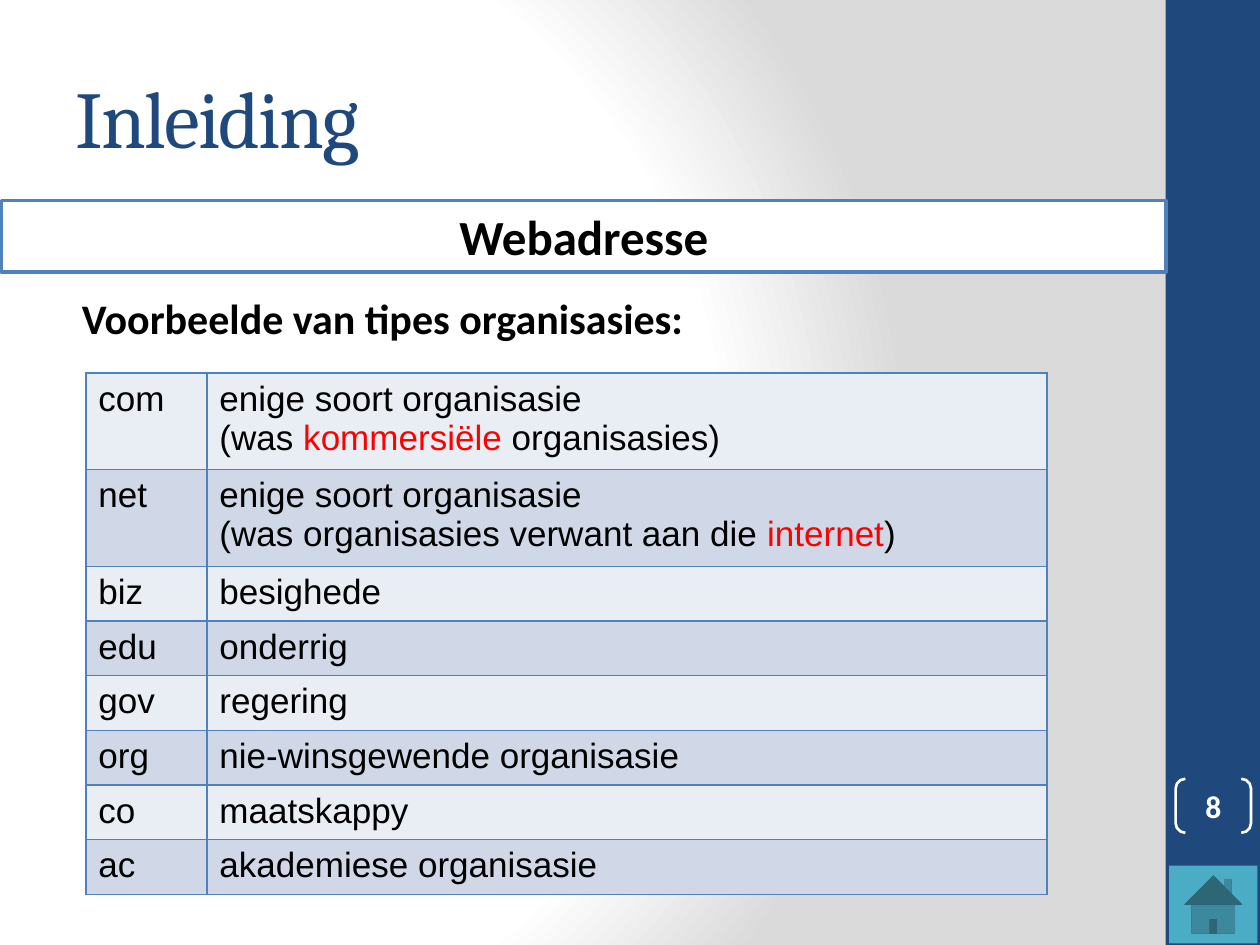
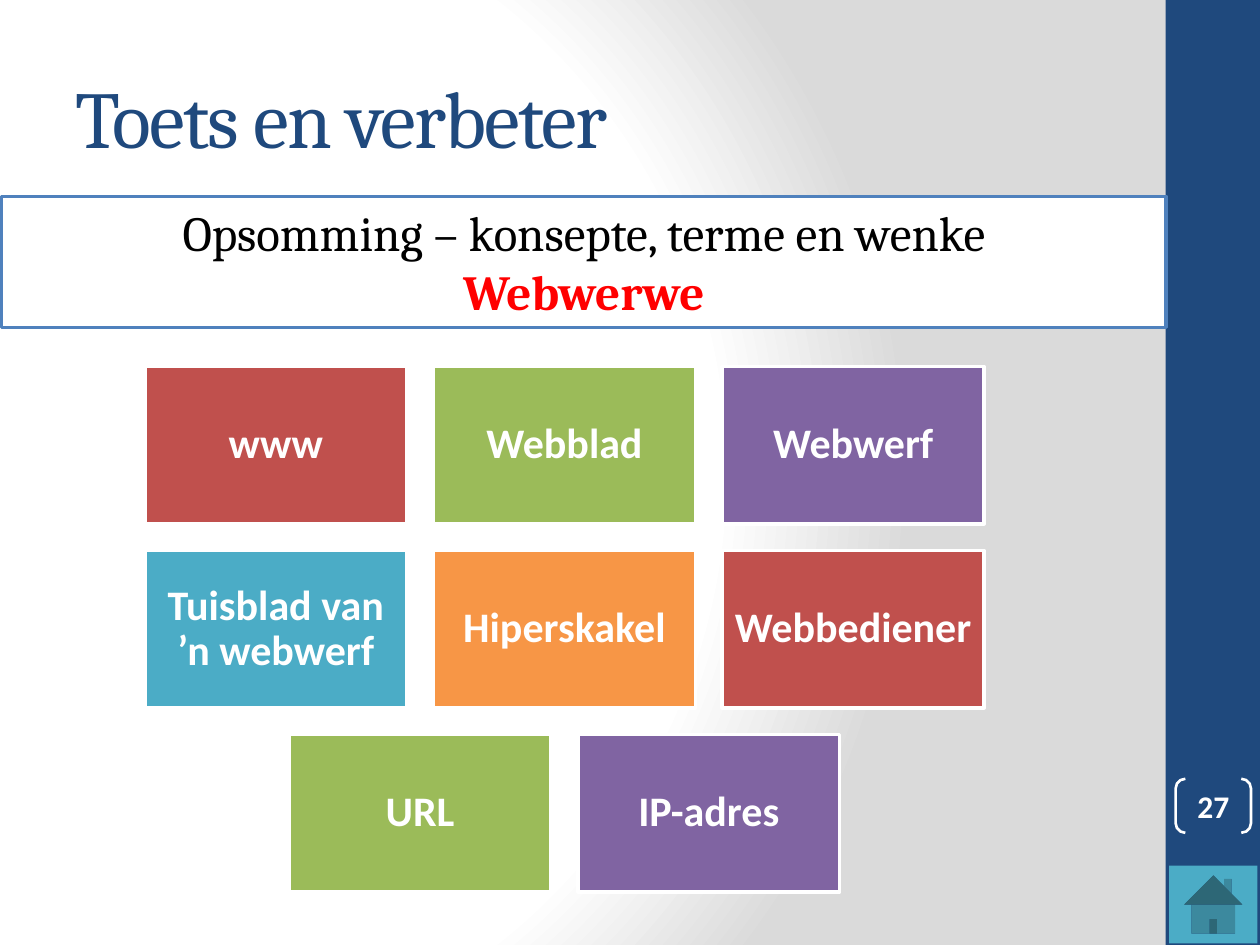
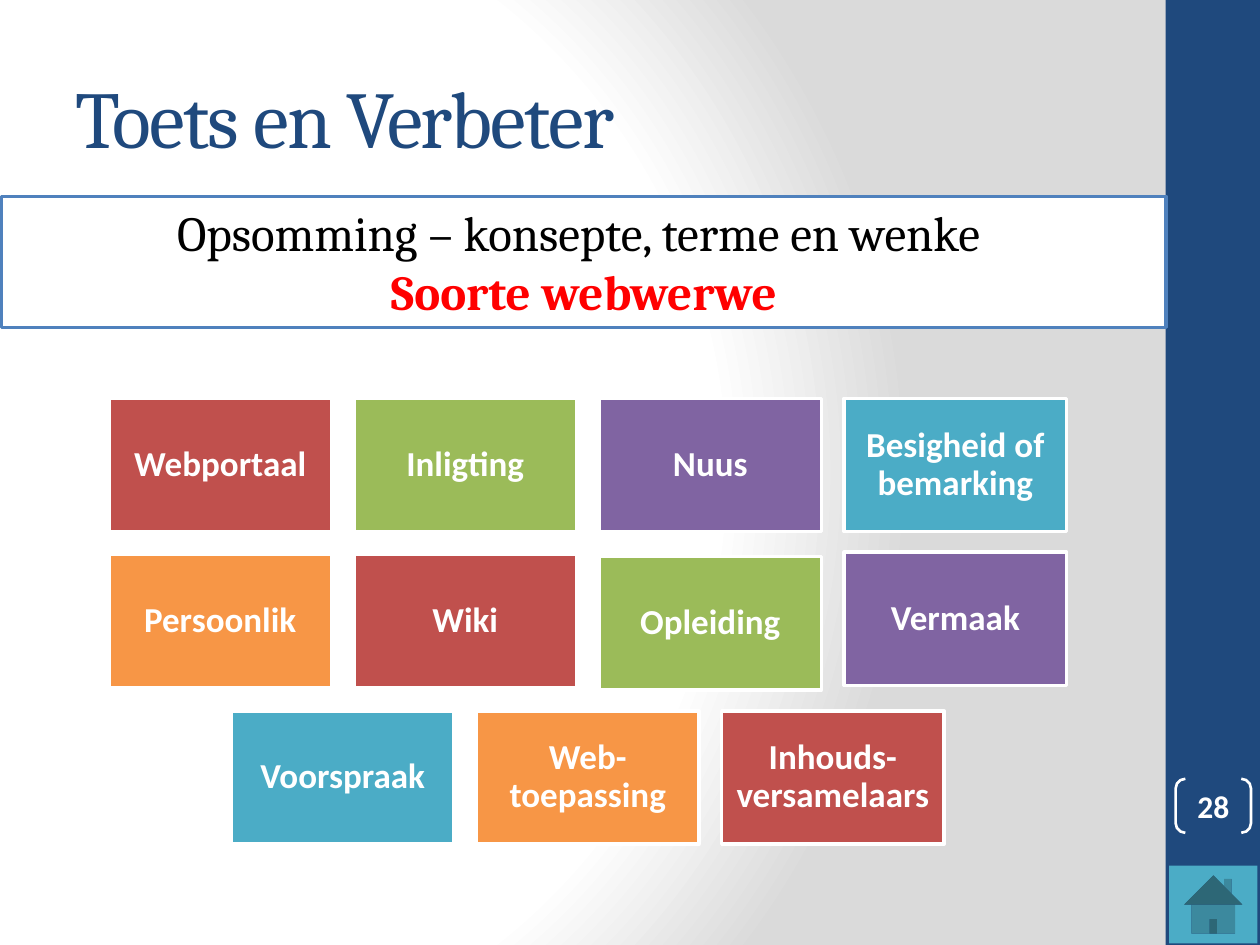
from dataclasses import dataclass
from itertools import count, cycle

from lxml.etree import SubElement
from pptx import Presentation
from pptx.dml.color import RGBColor
from pptx.enum.shapes import MSO_SHAPE as Preset
from pptx.enum.text import MSO_ANCHOR as Anchor, PP_ALIGN as Align
from pptx.oxml.ns import qn
from pptx.util import Cm, Pt


@dataclass(frozen=True)
class Theme:
    navy: str = "1F497D"
    blue: str = "4F81BD"
    teal: str = "4BACC6"
    white: str = "FFFFFF"
    black: str = "000000"
    red: str = "FF0000"
    grey: str = "DADADA"
    row_fills: tuple = ("E9EDF4", "D0D8E8")
    tile_fills: tuple = ("C0504D", "9BBB59", "8064A2", "4BACC6", "F79646")
    heading_font: str = "Cambria"
    body_font: str = "Calibri"
    table_font: str = "Arial"
    title_size: int = 46
    banner_size: int = 28
    lead_size: int = 24
    table_size: int = 20
    page_size: int = 18


theme = Theme()


def add_box(slide, preset, left, top, width, height, fill=None, line=None, line_width=2):
    """Add a flat preset shape, placed in centimetres."""
    shape = slide.shapes.add_shape(preset, Cm(left), Cm(top), Cm(width), Cm(height))
    shape.shadow.inherit = False
    if fill:
        shape.fill.solid()
        shape.fill.fore_color.rgb = RGBColor.from_string(fill)
    else:
        shape.fill.background()
    if line:
        shape.line.color.rgb = RGBColor.from_string(line)
        shape.line.width = Pt(line_width)
    else:
        shape.line.fill.background()
    return shape


def add_run(paragraph, text, font, size, colour, bold=False):
    run = paragraph.add_run()
    run.text = text
    run.font.name = font
    run.font.size = Pt(size)
    run.font.bold = bold
    run.font.color.rgb = RGBColor.from_string(colour)
    return run


presentation = Presentation()
presentation.slide_width = Cm(25.4)
presentation.slide_height = Cm(19.05)
blank_layout = presentation.slide_layouts[6]

# Shared background: a round gradient from white to grey
master = presentation.slide_master
master.background.fill.gradient()
gradient = master.element.find(".//" + qn("p:bgPr")).find(qn("a:gradFill"))
for child in list(gradient):
    gradient.remove(child)
stops = SubElement(gradient, qn("a:gsLst"))
for position, colour in ((0, theme.white), (75, theme.white), (100, theme.grey)):
    stop = SubElement(stops, qn("a:gs"), pos=str(position * 1000))
    SubElement(stop, qn("a:srgbClr"), val=colour)
gradient_path = SubElement(gradient, qn("a:path"), path="circle")
SubElement(gradient_path, qn("a:fillToRect"), l="20000", t="50000", r="100000", b="50000")

# Title, page number, banner top and height, banner lines
summary_style = (theme.heading_font, theme.banner_size, theme.black)
topic_style = (theme.heading_font, theme.banner_size, theme.red, True)
pages = [
    ("Inleiding", "8", 4.04, 1.45,
     [("Webadresse", theme.body_font, theme.banner_size, theme.black, True)]),
    ("Toets en verbeter", "27", 3.96, 2.64,
     [("Opsomming – konsepte, terme en wenke", *summary_style),
      ("Webwerwe", *topic_style)]),
    ("Toets en Verbeter", "28", 3.96, 2.64,
     [("Opsomming – konsepte, terme en wenke ", *summary_style),
      ("Soorte webwerwe", *topic_style)]),
]
slides = []
for title, page_number, banner_top, banner_height, banner_lines in pages:
    slide = presentation.slides.add_slide(blank_layout)
    slides.append(slide)
    add_box(slide, Preset.RECTANGLE, 23.5, 0, 1.9, 19.05, theme.navy)

    banner = add_box(slide, Preset.RECTANGLE, 0.03, banner_top, 23.48, banner_height,
                     theme.white, theme.blue)
    banner.text_frame.vertical_anchor = Anchor.TOP
    for index, banner_line in enumerate(banner_lines):
        frame = banner.text_frame
        paragraph = frame.add_paragraph() if index else frame.paragraphs[0]
        paragraph.alignment = Align.CENTER
        add_run(paragraph, *banner_line)

    title_box = slide.shapes.add_textbox(Cm(1.27), Cm(0.76), Cm(21.16), Cm(3.18))
    title_box.text_frame.word_wrap = True
    title_box.text_frame.vertical_anchor = Anchor.MIDDLE
    title_run = add_run(title_box.text_frame.paragraphs[0], title,
                        theme.heading_font, theme.title_size, theme.navy)
    title_run.font._element.set("spc", "-100")

    bracket = add_box(slide, Preset.DOUBLE_BRACKET, 23.7, 15.7, 1.52, 1.09,
                      line=theme.white, line_width=1.5)
    bracket.adjustments[0] = 0.18
    frame = bracket.text_frame
    frame.margin_left = frame.margin_right = frame.margin_top = frame.margin_bottom = 0
    frame.vertical_anchor = Anchor.MIDDLE
    frame.paragraphs[0].alignment = Align.CENTER
    add_run(frame.paragraphs[0], page_number, theme.body_font, theme.page_size,
            theme.white, True)
    add_box(slide, Preset.ACTION_BUTTON_HOME, 23.57, 17.45, 1.78, 1.57, theme.teal)

# Table of organisation types: each description is a list of lines made of coloured parts
address_slide, website_slide, website_kinds_slide = slides
lead_box = address_slide.shapes.add_textbox(Cm(1.4), Cm(5.77), Cm(16.1), Cm(1.27))
lead_box.text_frame.word_wrap = True
add_run(lead_box.text_frame.paragraphs[0], "Voorbeelde van tipes organisasies:",
        theme.body_font, theme.lead_size, theme.black, True)

any_organisation = [("enige soort organisasie", theme.black)]
organisations = [
    ("com", [any_organisation,
             [("(was ", theme.black), ("kommersiële", theme.red),
              (" organisasies)", theme.black)]]),
    ("net", [any_organisation,
             [("(was organisasies verwant aan die ", theme.black),
              ("internet", theme.red), (")", theme.black)]]),
]
for domain, description in (("biz", "besighede"), ("edu", "onderrig"), ("gov", "regering"),
                            ("org", "nie-winsgewende organisasie"),
                            ("co", "maatskappy"), ("ac", "akademiese organisasie")):
    organisations.append((domain, [[(description, theme.black)]]))

table = address_slide.shapes.add_table(len(organisations), 2, Cm(1.73), Cm(7.52),
                                       Cm(19.38), Cm(8.32)).table
table.first_row = False
table.horz_banding = False
for column, width in zip(table.columns, (2.44, 16.94)):
    column.width = Cm(width)
for row, (domain, description), fill in zip(table.rows, organisations,
                                            cycle(theme.row_fills)):
    row.height = Cm(1.04)
    for cell, lines in zip(row.cells, ([[(domain, theme.black)]], description)):
        paragraph = cell.text_frame.paragraphs[0]
        for index, parts in enumerate(lines):
            if index:
                paragraph.add_line_break()
            for text, colour in parts:
                add_run(paragraph, text, theme.table_font, theme.table_size, colour)
        properties = cell._tc.get_or_add_tcPr()
        for side in ("a:lnL", "a:lnR", "a:lnT", "a:lnB"):
            border = SubElement(properties, qn(side), w=str(Pt(1)))
            border_fill = SubElement(border, qn("a:solidFill"))
            SubElement(border_fill, qn("a:srgbClr"), val=theme.blue)
        cell.fill.solid()
        cell.fill.fore_color.rgb = RGBColor.from_string(fill)

# Tile grids: centre, top, tile width and height, gap, margin, text size, rows of labels
tile_grids = [
    (website_slide, 11.38, 7.39, 5.28, 3.17, 0.54, 0.22, 24,
     [["www", "Webblad", "Webwerf"],
      ["Tuisblad van ’n webwerf", "Hiperskakel", "Webbediener"],
      ["URL", "IP-adres"]]),
    (website_kinds_slide, 11.85, 8.03, 4.48, 2.69, 0.46, 0.2, 20,
     [["Webportaal", "Inligting", "Nuus", "Besigheid of bemarking"],
      ["Persoonlik", "Wiki", "Opleiding", "Vermaak"],
      ["Voorspraak", "Web-toepassing", "Inhouds- versamelaars"]]),
]
vertical_nudges = {"Opleiding": 0.04, "Vermaak": -0.05}
for slide, centre, top, width, height, gap, margin, size, label_rows in tile_grids:
    fills = cycle(theme.tile_fills)
    for row_index, labels in enumerate(label_rows):
        row_width = len(labels) * (width + gap) - gap
        row_top = top + row_index * (height + gap)
        for left, label in zip(count(centre - row_width / 2, width + gap), labels):
            tile = add_box(slide, Preset.RECTANGLE, left,
                           row_top + vertical_nudges.get(label, 0), width, height,
                           next(fills), theme.white)
            frame = tile.text_frame
            frame.margin_left = frame.margin_right = Cm(margin)
            frame.word_wrap = True
            frame.vertical_anchor = Anchor.MIDDLE
            paragraph = frame.paragraphs[0]
            paragraph.alignment = Align.CENTER
            paragraph.line_spacing = 0.9
            add_run(paragraph, label, theme.body_font, size, theme.white, True)

presentation.save("out.pptx")
